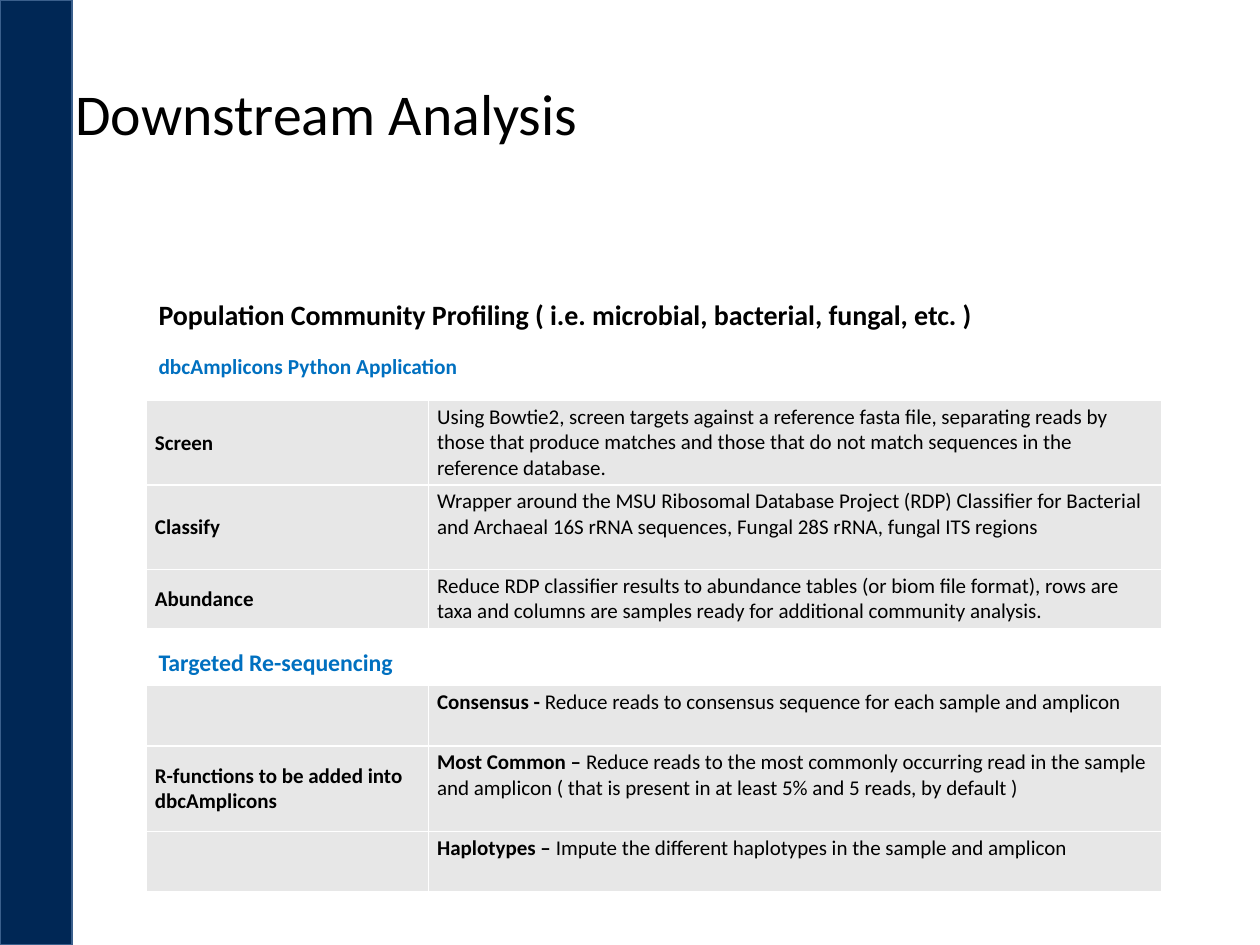
import pptx
import pptx.dml.color
import pptx.enum.shapes
import pptx.enum.text
import pptx.oxml.ns
import pptx.util
from lxml import etree

LEFT = 1.16
COLUMNS = (2.24, 5.82)
FONT = "Calibri"
BLACK, BLUE, NAVY, EDGE = "000000", "0070C0", "002755", "3A5F8C"
GREY, WHITE = "E7E7E7", "FFFFFF"
MIDDLE = pptx.enum.text.MSO_ANCHOR.MIDDLE

HEADINGS = [
    ("Population Community Profiling ( i.e. microbial, bacterial, fungal, etc. )",
     2.31, 7.11, 0.37, 16, BLACK),
    ("dbcAmplicons Python Application", 2.75, 5.78, 0.31, 12.2, BLUE),
    ("Targeted Re-sequencing", 5.09, 5.61, 0.33, 13.6, BLUE),
]
PROFILING = [
    ("Screen", "", "Using Bowtie2, screen targets against a reference fasta file, "
     "separating reads by those that produce matches and those that do not match "
     "sequences in the reference database."),
    ("Classify", "", "Wrapper around the MSU Ribosomal Database Project (RDP) Classifier "
     "for Bacterial and Archaeal 16S rRNA sequences, Fungal 28S rRNA, fungal ITS regions"),
    ("Abundance", "", "Reduce RDP classifier results to abundance tables (or biom file "
     "format), rows are taxa and columns are samples ready for additional community analysis."),
]
RESEQUENCING = [
    ("", "Consensus - ", "Reduce reads to consensus sequence for each sample and amplicon"),
    ("R-functions to be added into dbcAmplicons", "Most Common – ",
     "Reduce reads to the most commonly occurring read in the sample and amplicon "
     "( that is present in at least 5% and 5 reads, by default )"),
    ("", "Haplotypes – ", "Impute the different haplotypes in the sample and amplicon"),
]


def rgb(code):
    """Turn a hex string into a colour."""
    return pptx.dml.color.RGBColor.from_string(code)


def inches(*values):
    """Turn numbers of inches into lengths."""
    return [pptx.util.Inches(v) for v in values]


def style(font, size, color, bold):
    """Set the look of a font."""
    font.name, font.size, font.bold = FONT, pptx.util.Pt(size), bold
    font.color.rgb = rgb(color)


def add_text(slide, text, box, size, color, bold=True):
    """Add a one-paragraph text box and return its frame."""
    tf = slide.shapes.add_textbox(*inches(*box)).text_frame
    tf.word_wrap = True
    tf.text = text
    style(tf.paragraphs[0].runs[0].font, size, color, bold)
    return tf


def add_sidebar(prs, slide):
    """Add the full-height band at the left edge."""
    sp = slide.shapes.add_shape(pptx.enum.shapes.MSO_SHAPE.RECTANGLE, 0, 0,
                                pptx.util.Inches(0.57), prs.slide_height)
    sp.shadow.inherit = False
    sp.fill.solid()
    sp.fill.fore_color.rgb = rgb(NAVY)
    sp.line.color.rgb = rgb(EDGE)
    sp.line.width = pptx.util.Pt(1)


def set_borders(cell):
    """Draw a thin white line on each side of a cell."""
    tcPr = cell._tc.get_or_add_tcPr()
    qn = pptx.oxml.ns.qn
    for side in ("a:lnL", "a:lnR", "a:lnT", "a:lnB"):
        ln = etree.SubElement(tcPr, qn(side), w=str(pptx.util.Pt(1)))
        fill = etree.SubElement(ln, qn("a:solidFill"))
        etree.SubElement(fill, qn("a:srgbClr"), val=WHITE)


def fill_cell(cell, parts):
    """Format a cell and write its (text, bold) parts."""
    set_borders(cell)
    cell.fill.solid()
    cell.fill.fore_color.rgb = rgb(GREY)
    cell.margin_left = cell.margin_right = pptx.util.Inches(0.07)
    cell.margin_top = cell.margin_bottom = pptx.util.Inches(0.03)
    p = cell.text_frame.paragraphs[0]
    for text, bold in parts:
        if text:
            r = p.add_run()
            r.text = text
            style(r.font, 12, BLACK, bold)


def add_table(slide, top, heights, rows):
    """Add a table of bold labels and descriptions with bold lead-ins."""
    box = inches(LEFT, top, sum(COLUMNS), sum(heights))
    table = slide.shapes.add_table(len(rows), len(COLUMNS), *box).table
    table.first_row = table.horz_banding = False
    for column, width in zip(table.columns, inches(*COLUMNS)):
        column.width = width
    for row, height, (label, lead, body) in zip(table.rows, inches(*heights), rows):
        row.height = height
        name, description = row.cells
        fill_cell(name, [(label, True)])
        name.vertical_anchor = MIDDLE
        fill_cell(description, [(lead, True), (body, False)])


def main():
    """Build the slide and save it."""
    prs = pptx.Presentation()
    prs.slide_width, prs.slide_height = inches(10, 7.5)
    slide = prs.slides.add_slide(prs.slide_layouts[6])
    add_sidebar(prs, slide)
    title = add_text(slide, "Downstream Analysis", (0.5, 0.3, 8.96, 1.25), 33, BLACK, False)
    title.vertical_anchor = MIDDLE
    title.paragraphs[0].line_spacing = 0.9
    for text, top, width, height, size, color in HEADINGS:
        add_text(slide, text, (LEFT, top, width, height), size, color)
    add_table(slide, 3.18, (0.67, 0.67, 0.47), PROFILING)
    add_table(slide, 5.44, (0.48, 0.68, 0.48), RESEQUENCING)
    prs.save("out.pptx")


if __name__ == "__main__":
    main()
